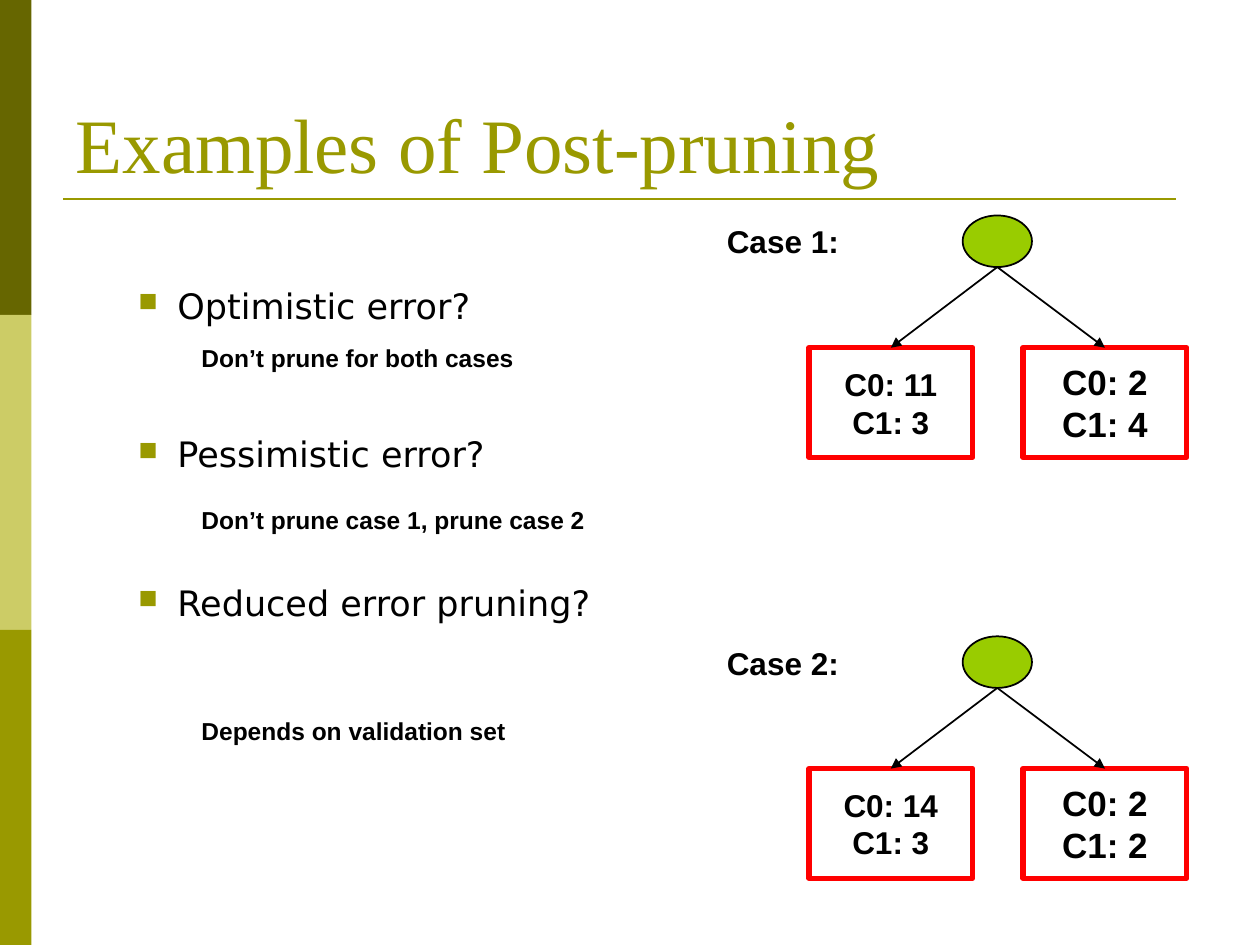
"""Builds the slide on post-pruning examples with two decision trees."""
from dataclasses import dataclass

import lxml.etree
import pptx
import pptx.dml.color
import pptx.enum.shapes
import pptx.enum.text
import pptx.oxml.ns
import pptx.util

Inches, Pt = pptx.util.Inches, pptx.util.Pt
SHAPE = pptx.enum.shapes.MSO_SHAPE
ALIGN = pptx.enum.text.PP_ALIGN
ANCHOR = pptx.enum.text.MSO_ANCHOR
AUTO_SIZE = pptx.enum.text.MSO_AUTO_SIZE
qn = pptx.oxml.ns.qn
OLIVE = "999900"


@dataclass
class Leaf:
    left: float
    size: int
    counts: tuple[str, str]


@dataclass
class Case:
    label: str
    label_top: float
    top: float
    leaves: tuple[Leaf, Leaf]


@dataclass
class Note:
    text: str
    left: float
    top: float
    width: float
    height: float = 0.33
    size: int = 14


CASES = [
    Case("Case 1:", 1.71, 1.71,
         (Leaf(6.42, 18, ("C0: 11", "C1: 3")), Leaf(8.12, 20, ("C0: 2", "C1: 4")))),
    Case("Case 2:", 5.06, 5.05,
         (Leaf(6.42, 18, ("C0: 14", "C1: 3")), Leaf(8.12, 20, ("C0: 2", "C1: 2")))),
]
ANSWERS = [
    Note("Don’t prune for both cases", 1.5, 2.67, 3.08),
    Note("Don’t prune case 1, prune case 2", 1.5, 3.96, 3.58),
    Note("Depends on validation set", 1.5, 5.63, 3.58),
]
QUESTIONS = ["Optimistic error?", "Pessimistic error?", "Reduced error pruning?"]


def rgb(value: str) -> pptx.dml.color.RGBColor:
    return pptx.dml.color.RGBColor.from_string(value)


def set_font(p, name: str, size: float, color: str = "000000", bold: bool = False) -> None:
    p.font.name, p.font.size, p.font.bold = name, Pt(size), bold
    p.font.color.rgb = rgb(color)


def add_box(s, kind, left: float, top: float, width: float, height: float,
            fill: str | None = None, line: str | None = None, weight: float = 1):
    sp = s.shapes.add_shape(kind, Inches(left), Inches(top), Inches(width), Inches(height))
    sp.shadow.inherit = False
    if fill:
        sp.fill.solid()
        sp.fill.fore_color.rgb = rgb(fill)
    else:
        sp.fill.background()
    if line:
        sp.line.color.rgb = rgb(line)
        sp.line.width = Pt(weight)
    else:
        sp.line.fill.background()
    return sp


def add_line(s, x1: float, y1: float, x2: float, y2: float, color: str, weight: float):
    cxn = s.shapes.add_connector(pptx.enum.shapes.MSO_CONNECTOR.STRAIGHT,
                                 Inches(x1), Inches(y1), Inches(x2), Inches(y2))
    cxn.line.color.rgb = rgb(color)
    cxn.line.width = Pt(weight)
    lxml.etree.SubElement(cxn._element.spPr, qn("a:effectLst"))
    return cxn


def add_note(s, note: Note) -> None:
    sp = s.shapes.add_textbox(Inches(note.left), Inches(note.top),
                              Inches(note.width), Inches(note.height))
    tf = sp.text_frame
    tf.word_wrap = True
    tf.text = note.text
    set_font(tf.paragraphs[0], "Arial", note.size, bold=True)


def add_tree(s, case: Case) -> None:
    root_x, root_bottom, leaf_top, leaf_width = 7.915, case.top + 0.41, case.top + 1.05, 1.3
    add_box(s, SHAPE.OVAL, root_x - 0.275, case.top, 0.55, 0.41, "99CC00", "000000")
    for leaf in case.leaves:
        sp = add_box(s, SHAPE.RECTANGLE, leaf.left, leaf_top, leaf_width, 0.87,
                     line="FF0000", weight=3)
        tf = sp.text_frame
        tf.word_wrap = False
        tf.vertical_anchor = ANCHOR.MIDDLE
        tf.text = "\n".join(leaf.counts)
        for p in tf.paragraphs:
            p.alignment = ALIGN.CENTER
            set_font(p, "Arial", leaf.size, bold=True)
        cxn = add_line(s, root_x, root_bottom, leaf.left + leaf_width / 2, leaf_top, "000000", 1)
        cxn.end_connect(sp, 0)
        lxml.etree.SubElement(cxn.line._get_or_add_ln(), qn("a:tailEnd"), type="triangle")
    add_note(s, Note(case.label, 5.67, case.label_top, 1.33, 0.4, 18))


def add_bullet(p) -> None:
    pPr = p._p.get_or_add_pPr()
    pPr.set("marL", str(Inches(0.81)))
    pPr.set("indent", str(Inches(-0.31)))
    color = lxml.etree.Element(qn("a:buClr"))
    lxml.etree.SubElement(color, qn("a:srgbClr"), val=OLIVE)
    size = lxml.etree.Element(qn("a:buSzPct"), val="75000")
    char = lxml.etree.Element(qn("a:buChar"), char="■")
    for position, element in enumerate((color, size, char), len(pPr.findall(qn("a:spcBef")))):
        pPr.insert(position, element)


def add_questions(s) -> None:
    sp = s.shapes.add_textbox(Inches(0.5), Inches(2.21), Inches(5), Inches(4.95))
    tf = sp.text_frame
    tf.word_wrap = True
    tf.text = "\n".join(QUESTIONS)
    for i, p in enumerate(tf.paragraphs):
        p.space_before = Pt(60.7 if i else 0)
        set_font(p, "DejaVu Sans", 20)
        add_bullet(p)


def add_title(s, text: str) -> None:
    sp = s.shapes.title
    sp.left, sp.top, sp.width, sp.height = Inches(0.5), Inches(0.3), Inches(9), Inches(1.25)
    tf = sp.text_frame
    tf.text = text
    tf.auto_size = AUTO_SIZE.NONE
    tf.vertical_anchor = ANCHOR.BOTTOM
    p = tf.paragraphs[0]
    p.alignment = ALIGN.LEFT
    set_font(p, "Times New Roman", 44, OLIVE)


def main() -> None:
    prs = pptx.Presentation()
    prs.slide_width, prs.slide_height = Inches(10), Inches(7.5)
    s = prs.slides.add_slide(prs.slide_layouts[5])
    for i, color in enumerate(("666600", "CCCC66", OLIVE)):
        add_box(s, SHAPE.RECTANGLE, 0, 2.5 * i, 0.25, 2.5, color)
    add_line(s, 0.5, 1.58, 9.33, 1.58, OLIVE, 1.5)
    add_title(s, "Examples of Post-pruning")
    add_questions(s)
    for case in CASES:
        add_tree(s, case)
    for answer in ANSWERS:
        add_note(s, answer)
    prs.save("out.pptx")


if __name__ == "__main__":
    main()
